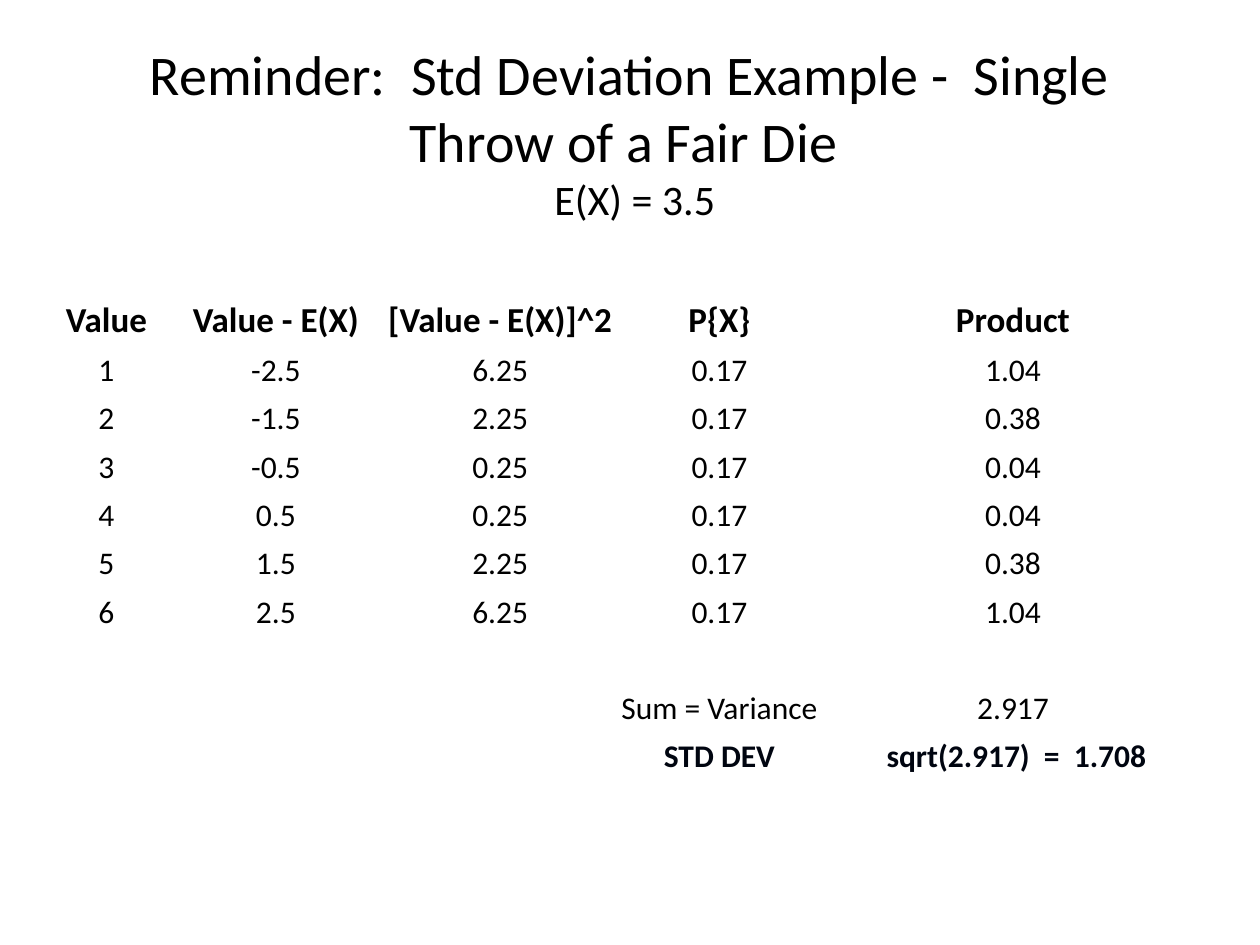
from copy import deepcopy

from pptx import Presentation
from pptx.dml.color import RGBColor
from pptx.enum.text import MSO_ANCHOR as Anchor, MSO_AUTO_SIZE as AutoSize, PP_ALIGN as Align
from pptx.util import Pt

COLORS = {"text": "000000", "result": "000510"}
FONT = "Calibri"
COLUMN_WIDTHS = [74.16, 119.52, 136.8, 113.76, 221.76]
ROW_HEIGHT = 27.6
EXPECTED = 3.5
SIDES = 6


def format_run(run, size, color="text", bold=False):
    for name, value in {"name": FONT, "size": Pt(size), "bold": bold}.items():
        setattr(run.font, name, value)
    run.font.color.rgb = RGBColor.from_string(COLORS[color])


def place(shape, left, top, width, height):
    box = {"left": left, "top": top, "width": width, "height": height}
    for name, value in box.items():
        setattr(shape, name, Pt(value))


def fill_title(title, heading, subheading):
    place(title, 54, 12.24, 612, 126)
    frame = title.text_frame
    for name, value in {"word_wrap": True, "auto_size": AutoSize.NONE,
                        "vertical_anchor": Anchor.MIDDLE}.items():
        setattr(frame, name, value)
    paragraph = frame.paragraphs[0]
    paragraph.alignment = Align.CENTER
    heading_run = paragraph.add_run()
    heading_run.text = heading
    format_run(heading_run, 32)
    # The line break takes the size of the heading
    paragraph.add_line_break()
    paragraph._p[-1].append(deepcopy(heading_run._r.rPr))
    subheading_run = paragraph.add_run()
    subheading_run.text = subheading
    format_run(subheading_run, 24)


def die_rows():
    """One row per face: value, deviation, square, probability, product."""
    for value in range(1, SIDES + 1):
        deviation = value - EXPECTED
        square = deviation ** 2
        yield [str(value), f"{deviation:g}", f"{square:.2f}",
               f"{1 / SIDES:.2f}", f"{square / SIDES:.2f}"]


def fill_cell(cell, text, size, color, bold):
    for side in ("left", "top", "right", "bottom"):
        setattr(cell, f"margin_{side}", 0)
    cell.vertical_anchor = Anchor.BOTTOM
    cell.fill.background()
    if text:
        paragraph = cell.text_frame.paragraphs[0]
        paragraph.alignment = Align.CENTER
        run = paragraph.add_run()
        run.text = text
        format_run(run, size, color, bold)


def add_data_table(slide, rows):
    table = slide.shapes.add_table(
        len(rows), len(COLUMN_WIDTHS), Pt(23.76), Pt(167.76),
        Pt(sum(COLUMN_WIDTHS)), Pt(ROW_HEIGHT * len(rows))).table
    table.first_row = table.horz_banding = False
    for column, width in zip(table.columns, COLUMN_WIDTHS):
        column.width = Pt(width)
    for row, texts in zip(table.rows, rows):
        row.height = Pt(ROW_HEIGHT)
        is_header, is_result = texts is rows[0], texts is rows[-1]
        for cell, text in zip(row.cells, texts):
            fill_cell(cell, text, 20 if is_header else 18,
                      "result" if is_result else "text", is_header or is_result)


def main():
    presentation = Presentation()
    presentation.slide_width, presentation.slide_height = Pt(720), Pt(540)
    slide = presentation.slides.add_slide(presentation.slide_layouts[5])

    # Title
    fill_title(slide.shapes.title,
               "Reminder:  Std Deviation Example -  Single Throw of a Fair Die ",
               " E(X) = 3.5")

    # Calculation table
    blank = [""] * 3
    add_data_table(slide, [
        ["Value", "Value - E(X)", "[Value - E(X)]^2", "P{X}", "Product"],
        *die_rows(),
        [""] * 5,
        blank + ["Sum = Variance ", "2.917"],
        blank + ["STD DEV", " sqrt(2.917)  =  1.708"],
    ])
    presentation.save("out.pptx")


if __name__ == "__main__":
    main()
